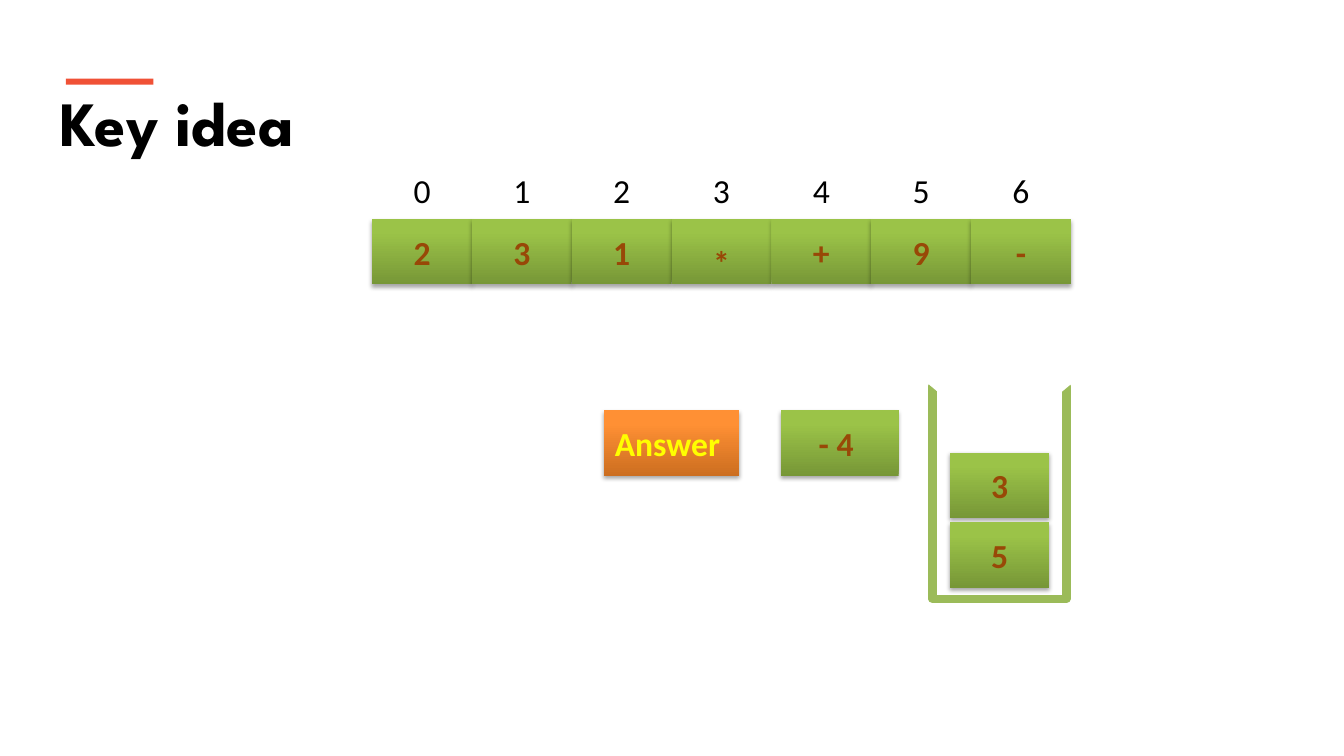
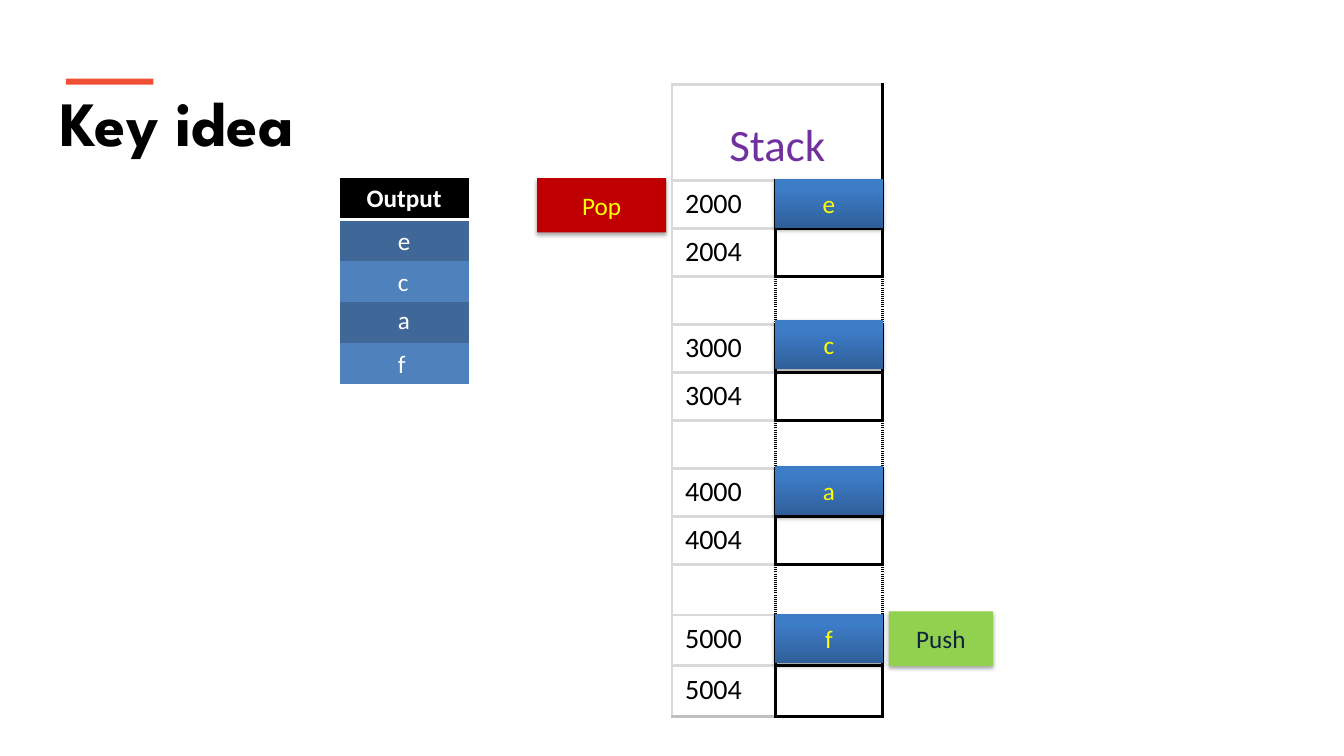
from lxml import etree
from pptx import Presentation
from pptx.dml.color import RGBColor
from pptx.enum.shapes import MSO_SHAPE
from pptx.enum.text import MSO_ANCHOR, MSO_AUTO_SIZE, PP_ALIGN
from pptx.oxml.ns import qn
from pptx.util import Pt

RECT, TRIANGLE = MSO_SHAPE.RECTANGLE, MSO_SHAPE.ISOSCELES_TRIANGLE
LEFT, CENTER = PP_ALIGN.LEFT, PP_ALIGN.CENTER
MIDDLE, GROW = MSO_ANCHOR.MIDDLE, MSO_AUTO_SIZE.SHAPE_TO_FIT_TEXT

TITLE = "Key idea"
TOKENS = ["2", "3", "1", "*", "+", "9", "-"]
OPERANDS = ["3", "5"]
RESULT = "- 4 "
ANSWER = "Answer "
STACK_TITLE = "Stack"
ADDRESSES = ["2000", "2004", "", "3000", "3004", "",
             "4000", "4004", "", "5000", "5004"]
STACK_VALUES = [("e", 127.6), ("c", 228.4), ("a", 332.8), ("f", 438.5)]
POP, PUSH = "Pop", "Push"
OUTPUT_TITLE = "Output"
OUTPUT = [("e", 157.2, 23.8), ("c", 186.5, 22.3), ("a", 213.9, 23), ("f", 245.6, 20.2)]

BLACK, WHITE, GREY, SILVER = "000000", "FFFFFF", "D9D9D9", "BFBFBF"
ACCENT, BUCKET = "F05136", "9BBB59"
BROWN, YELLOW, PURPLE, NAVY = "984807", "FFFF00", "7030A0", "0F243E"
GREEN = ("779737", "9BC348")
ORANGE = ("CC6E20", "FF9034")
BLUE = ("2F5F99", "3D7CC7")
RED, LIME = "C00000", "92D050"
BANDS = ("3F6797", "4F81BD")

TITLE_FONT = {"name": "League Spartan", "size": Pt(45), "bold": True}
TOKEN_FONT = {"name": "Calibri", "size": Pt(24), "bold": True}
INDEX_FONT = {"name": "Calibri", "size": Pt(24)}
HEADING_FONT = {"name": "Calibri", "size": Pt(32)}
ADDRESS_FONT = {"name": "Calibri", "size": Pt(20)}
LABEL_FONT = {"name": "Calibri", "size": Pt(18)}
OUTPUT_FONT = {"name": "Calibri", "size": Pt(18), "bold": True}
STACK_MARGINS = {"margin_left": Pt(9.4), "margin_right": Pt(9.4),
                 "margin_top": Pt(4.9), "margin_bottom": Pt(4.9)}
NO_BANDING = {"first_row": False, "horz_banding": False}


def rgb(code):
    return RGBColor.from_string(code)


def apply_format(target, values):
    for key, value in values.items():
        setattr(target, key, value)


def write(frame, text, font, color, align=LEFT, spacing=None):
    paragraph = frame.paragraphs[0]
    apply_format(paragraph, {"alignment": align, "line_spacing": spacing})
    run = paragraph.add_run()
    run.text = text
    apply_format(run.font, font)
    run.font.color.rgb = rgb(color)


def paint(fill, color):
    if isinstance(color, tuple):
        fill.gradient()
        fill.gradient_angle = 90
        for stop, code, position in zip(fill.gradient_stops, color, (0, 0.8)):
            stop.color.rgb = rgb(code)
            stop.position = position
    else:
        fill.solid()
        fill.fore_color.rgb = rgb(color)


def add_block(slide, box, color, kind=RECT):
    block = slide.shapes.add_shape(kind, *map(Pt, box))
    block.shadow.inherit = False
    paint(block.fill, color)
    block.line.fill.background()
    return block


def add_card(slide, box, color, text, font, text_color, spacing=None):
    card = add_block(slide, box, color)
    effects = card._element.spPr.find(qn("a:effectLst"))
    shadow = etree.SubElement(effects, qn("a:outerShdw"), blurRad=str(Pt(3.1)),
                              dist=str(Pt(1.8)), dir="5400000", rotWithShape="0")
    tint = etree.SubElement(shadow, qn("a:srgbClr"), val=BLACK)
    etree.SubElement(tint, qn("a:alpha"), val="35000")
    apply_format(card.text_frame, {"word_wrap": True, "vertical_anchor": MIDDLE})
    write(card.text_frame, text, font, text_color, CENTER, spacing)


def add_label(slide, box, text, font, color, align=LEFT, wrap=True):
    frame = slide.shapes.add_textbox(*map(Pt, box)).text_frame
    apply_format(frame, {"word_wrap": wrap, "auto_size": GROW})
    write(frame, text, font, color, align)


def add_grid(slide, left, top, widths, heights):
    grid = slide.shapes.add_table(len(heights), len(widths), Pt(left), Pt(top),
                                  Pt(sum(widths)), Pt(sum(heights))).table
    apply_format(grid, NO_BANDING)
    for column, width in zip(grid.columns, widths):
        column.width = Pt(width)
    for row, height in zip(grid.rows, heights):
        row.height = Pt(height)
    return grid


def set_borders(cell, left=None, right=None, top=None, bottom=None,
                left_dash="solid", right_dash="solid", width=2.25):
    sides = (("a:lnL", left, left_dash), ("a:lnR", right, right_dash),
             ("a:lnT", top, "solid"), ("a:lnB", bottom, "solid"))
    properties = cell._tc.get_or_add_tcPr()
    for tag, color, dash in sides:
        line = etree.SubElement(properties, qn(tag), w=str(Pt(width)))
        if color is None:
            etree.SubElement(line, qn("a:noFill"))
            continue
        solid = etree.SubElement(line, qn("a:solidFill"))
        etree.SubElement(solid, qn("a:srgbClr"), val=color)
        etree.SubElement(line, qn("a:prstDash"), val=dash)


def add_titled_slide(deck):
    slide = deck.slides.add_slide(deck.slide_layouts[6])
    add_label(slide, (36, 56.2, 877, 62), TITLE, TITLE_FONT, BLACK)
    add_block(slide, (47, 56.2, 62.6, 4.3), ACCENT)
    return slide


def build_evaluation(deck):
    slide = add_titled_slide(deck)
    bucket = add_block(slide, (666, 275.8, 95.8, 152), WHITE)
    bucket.line.width = Pt(6)
    bucket.line.color.rgb = rgb(BUCKET)
    add_block(slide, (658, 270, 112.3, 46.8), WHITE, TRIANGLE).rotation = 180

    token_width, token_height, index_width = 71.3, 46.8, 31
    for index, token in enumerate(TOKENS):
        left = 265.8 + index * token_width
        add_card(slide, (left, 156.4, token_width, token_height), GREEN, token,
                 TOKEN_FONT, BROWN, 1.5 if token == "*" else None)
        add_label(slide, (left + (token_width - index_width) / 2, 118.1, index_width, 36),
                  str(index), INDEX_FONT, BLACK, CENTER)
    for level, operand in enumerate(OPERANDS):
        add_card(slide, (678.4, 323.3 + level * 49.7, token_width, token_height),
                 GREEN, operand, TOKEN_FONT, BROWN)
    add_card(slide, (558, 293.2, 83.9, token_height), GREEN, RESULT, TOKEN_FONT, BROWN)
    add_card(slide, (431.3, 293.2, 96.5, token_height), ORANGE, ANSWER, TOKEN_FONT, YELLOW)


def build_stack(deck):
    slide = add_titled_slide(deck)
    stack = add_grid(slide, 480, 60.5, [74.2, 76.3],
                     [68.3] + [34.3] * 8 + [36.2] * 3)
    for cell in stack.iter_cells():
        apply_format(cell, STACK_MARGINS)
    heading = stack.cell(0, 0)
    heading.merge(stack.cell(0, 1))
    write(heading.text_frame, STACK_TITLE, HEADING_FONT, PURPLE, CENTER, 1.5)
    for column in range(2):
        set_borders(stack.cell(0, column), GREY, BLACK, GREY, GREY)
    for row, address in enumerate(ADDRESSES, 1):
        label, slot = stack.cell(row, 0), stack.cell(row, 1)
        dash = "solid" if address else "sysDot"
        bottom = SILVER if row == len(ADDRESSES) else GREY
        set_borders(label, GREY, BLACK, GREY, bottom, right_dash=dash)
        set_borders(slot, BLACK, BLACK, BLACK, BLACK, dash, dash)
        if address:
            write(label.text_frame, address, ADDRESS_FONT, BLACK)
    for cell in stack.iter_cells():
        cell.fill.background()

    for value, top in STACK_VALUES:
        add_card(slide, (553.7, top, 77, 35.3), BLUE, value, LABEL_FONT, YELLOW)
    add_card(slide, (383.6, 127.2, 92.2, 38.9), RED, POP, LABEL_FONT, YELLOW)
    add_card(slide, (635, 436.8, 74.2, 38.9), LIME, PUSH, LABEL_FONT, NAVY)

    output = add_grid(slide, 242.6, 127.4, [92.2], [29.4] * (len(OUTPUT) + 1))
    for row in range(len(OUTPUT) + 1):
        cell = output.cell(row, 0)
        set_borders(cell, top=WHITE if row == 1 else None,
                    bottom=WHITE if row == 0 else None, width=2)
        paint(cell.fill, BANDS[(row - 1) % 2] if row else BLACK)
    write(output.cell(0, 0).text_frame, OUTPUT_TITLE, OUTPUT_FONT, WHITE, CENTER)
    for letter, top, width in OUTPUT:
        add_label(slide, (277.2, top, width, 29), letter, LABEL_FONT, WHITE, wrap=False)


deck = Presentation()
apply_format(deck, {"slide_width": Pt(960), "slide_height": Pt(540)})
build_evaluation(deck)
build_stack(deck)
deck.save("out.pptx")
